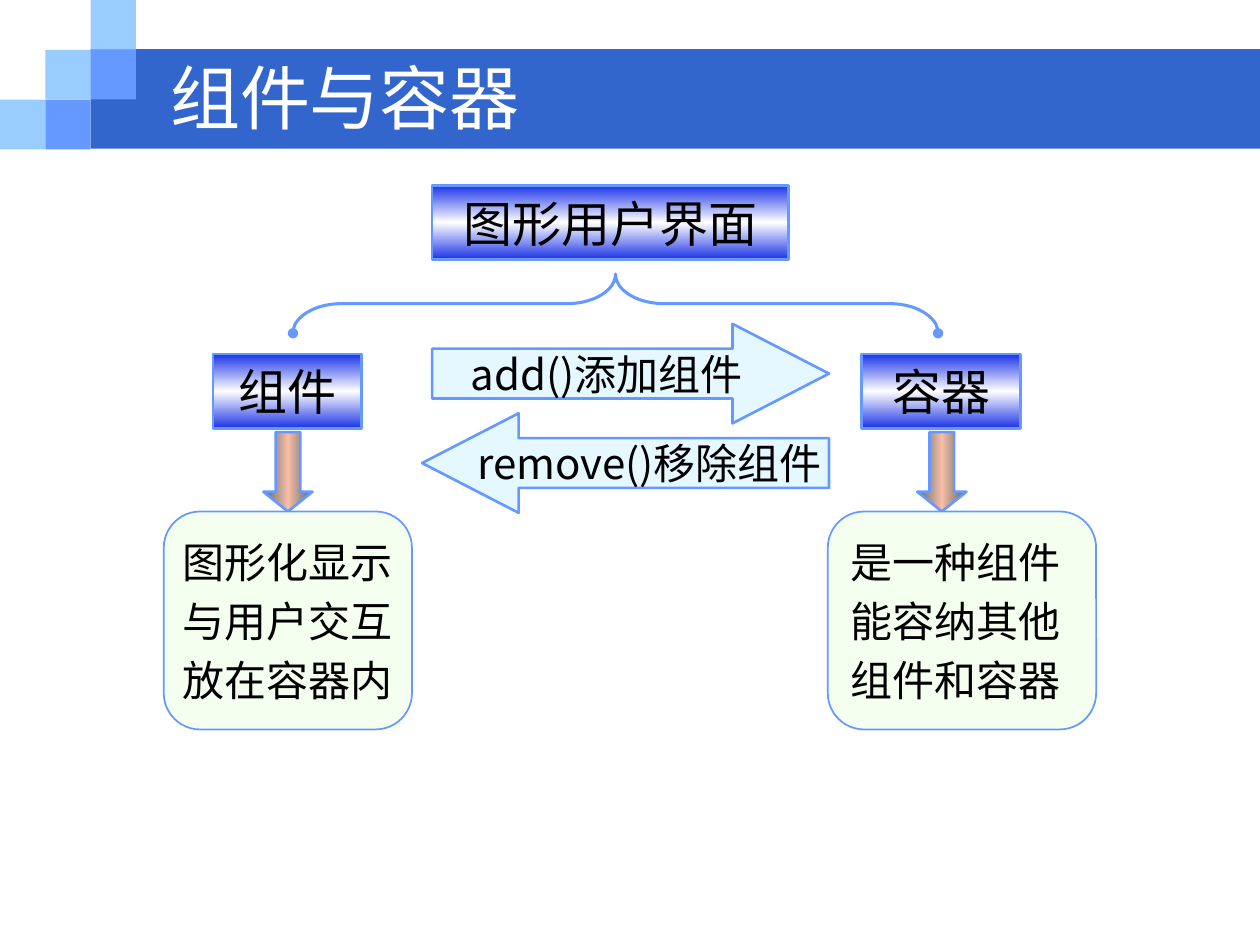
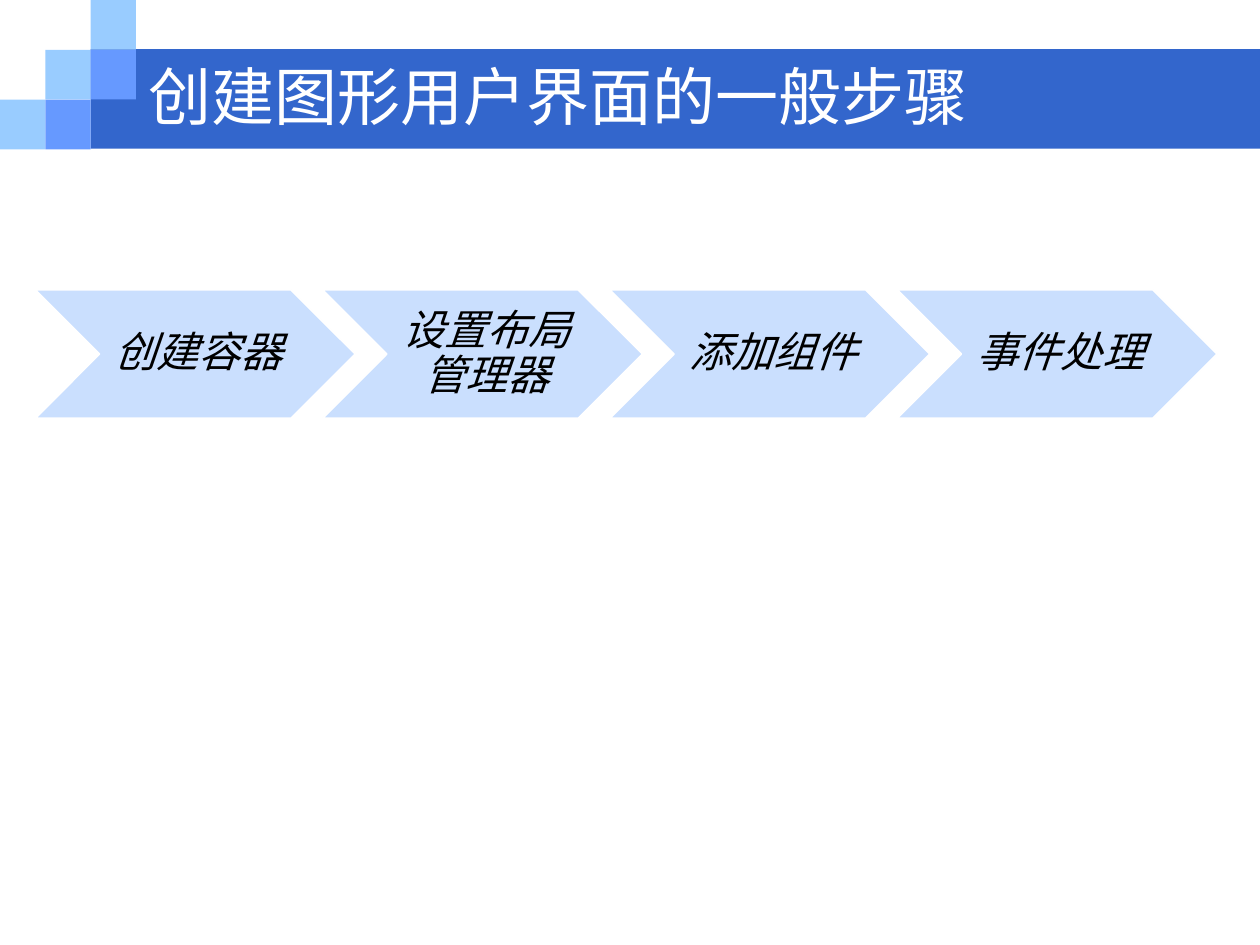
from lxml import etree
from pptx import Presentation
from pptx.dml.color import RGBColor
from pptx.enum import shapes, text
from pptx.oxml import ns
from pptx.util import Inches, Pt

COLORS = {
    "band": "3366CC", "sky": "99CCFF", "accent": "6699FF",
    "white": "FFFFFF", "black": "000000",
    "royal": "1B33E7", "slate": "566869", "peach": "F8BDA6",
    "mint": "F5FFEF", "ice": "E5F7FF", "step": "CADFFE",
}
CJK = "Noto Sans CJK SC"
LATIN = "Arial"
SHAPE = shapes.MSO_SHAPE
CENTER, LEFT = text.PP_ALIGN.CENTER, text.PP_ALIGN.LEFT


def color(name):
    return RGBColor.from_string(COLORS[name])


# Text
def write(frame, lines, size, font=CJK, tint="black", align=CENTER,
          wrap=False, gap=0, italic=False, line_spacing=None):
    frame.word_wrap = wrap
    frame.auto_size = text.MSO_AUTO_SIZE.NONE
    frame.vertical_anchor = text.MSO_ANCHOR.MIDDLE
    for index, line in enumerate(lines):
        para = frame.paragraphs[0] if index == 0 else frame.add_paragraph()
        para.alignment = align
        para.line_spacing = line_spacing
        para.space_before = Pt(gap if index else 0)
        span = para.add_run()
        span.text = line
        span.font.size = Pt(size)
        span.font.italic = italic
        span.font.color.rgb = color(tint)
        span.font.name = font
        east_asian = etree.SubElement(span.font._element, ns.qn("a:ea"))
        east_asian.set("typeface", CJK)


def add_title(page, words, place, size):
    title = page.shapes.title
    title.left, title.top, title.width, title.height = map(Inches, place)
    write(title.text_frame, [words], size, tint="white", align=LEFT, wrap=True)


# Shapes
def add_block(owner, kind, place, fill=None, line=None, weight=1.5):
    block = owner.shapes.add_shape(kind, *map(Inches, place))
    block.shadow.inherit = False
    if fill:
        block.fill.solid()
        block.fill.fore_color.rgb = color(fill)
    else:
        block.fill.background()
    if line:
        block.line.color.rgb = color(line)
        block.line.width = Pt(weight)
    else:
        block.line.fill.background()
    return block


def shade(block, edge, middle, angle):
    """Fill with a gradient that runs edge, middle, edge."""
    block.fill.gradient()
    block.fill.gradient_angle = angle
    stops = block.element.spPr.find(ns.qn("a:gradFill")).find(ns.qn("a:gsLst"))
    for stop in list(stops):
        stops.remove(stop)
    for position, name in ((0, edge), (50000, middle), (100000, edge)):
        stop = etree.SubElement(stops, ns.qn("a:gs"), pos=str(position))
        etree.SubElement(stop, ns.qn("a:srgbClr"), val=COLORS[name])


def add_label(page, words, place):
    label = add_block(page, SHAPE.RECTANGLE, place, line="accent")
    shade(label, "royal", "white", 90)
    write(label.text_frame, [words], 28)


def add_down_arrow(page, left):
    arrow = add_block(page, SHAPE.DOWN_ARROW, (left, 3.43, 0.39, 0.63), line="accent")
    arrow.adjustments[1] = 0.4
    shade(arrow, "slate", "peach", 0)


def add_card(page, lines, left, width, **style):
    card = add_block(page, SHAPE.FLOWCHART_ALTERNATE_PROCESS,
                     (left, 4.06, width, 1.73), "mint", "accent", 1)
    write(card.text_frame, lines, 24, gap=4.8, **style)


def add_call_arrow(page, kind, words, place):
    arrow = add_block(page, kind, place, "ice", "accent")
    arrow.adjustments[1] = 0.97
    write(arrow.text_frame, [words], 24)


def add_brace(page):
    brace = add_block(page, SHAPE.LEFT_BRACE, (4.65, -0.15, 0.47, 5.12),
                      line="accent", weight=1.75)
    brace.rotation = 90
    brace.adjustments[0] = 0.82
    outline = brace.element.spPr.find(ns.qn("a:ln"))
    for end in ("a:headEnd", "a:tailEnd"):
        etree.SubElement(outline, ns.qn(end), type="oval")


def add_step(page, words, left):
    group = page.shapes.add_group_shape()
    add_block(group, SHAPE.CHEVRON, (left, 2.3, 2.54, 1.02), "step", "white", 1)
    box = group.shapes.add_textbox(*map(Inches, (left + 0.51, 2.3, 1.52, 1.02)))
    frame = box.text_frame
    frame.margin_left = Inches(0.1)
    frame.margin_right = frame.margin_top = frame.margin_bottom = Inches(0.04)
    write(frame, [words], 24, LATIN, wrap=True, italic=True, line_spacing=0.9)


# Shared header, kept on the layout behind the title
def decorate_layout(layout, page):
    cell, row = 0.36, 0.395
    parts = [add_block(page, SHAPE.RECTANGLE, (0.72, 0.39, 9.28, 0.79), "band")]
    for column, line, name in ((0, 2, "sky"), (1, 1, "sky"), (2, 0, "sky"),
                               (2, 1, "accent"), (1, 2, "accent")):
        place = (column * cell, line * row, cell, row)
        parts.append(add_block(page, SHAPE.RECTANGLE, place, name))
    for index, part in enumerate(parts):
        layout.shapes.element.insert(2 + index, part.element)


def build_components(page):
    add_title(page, "组件与容器", (1.25, 0.5, 8.08, 0.53), 40)
    add_brace(page)
    add_label(page, "图形用户界面", (3.43, 1.47, 2.83, 0.59))

    # Component branch
    add_label(page, "组件", (1.69, 2.81, 1.18, 0.59))
    add_down_arrow(page, 2.09)
    add_card(page, ["图形化显示", "与用户交互", "放在容器内"], 1.3, 1.97, font=LATIN)

    # Container branch
    add_label(page, "容器", (6.84, 2.81, 1.26, 0.59))
    add_down_arrow(page, 7.28)
    add_card(page, ["是一种组件", "能容纳其他", "组件和容器"], 6.57, 2.13,
             align=LEFT, wrap=True)

    # Calls between the branches
    add_call_arrow(page, SHAPE.RIGHT_ARROW, "add()添加组件", (3.43, 2.57, 3.15, 0.79))
    add_call_arrow(page, SHAPE.LEFT_ARROW, "remove()移除组件", (3.35, 3.28, 3.23, 0.79))


def build_steps(page):
    add_title(page, "创建图形用户界面的一般步骤", (1.08, 0.32, 7.64, 0.87), 36)
    steps = ["创建容器", "设置布局管理器", "添加组件", "事件处理"]
    for index, words in enumerate(steps):
        add_step(page, words, 0.28 + 2.28 * index)


def main():
    deck = Presentation()
    deck.slide_width, deck.slide_height = Inches(10), Inches(7.5)
    layout = deck.slide_layouts[5]
    first, second = (deck.slides.add_slide(layout) for _ in range(2))
    decorate_layout(layout, first)
    build_components(first)
    build_steps(second)
    deck.save("out.pptx")


if __name__ == "__main__":
    main()
